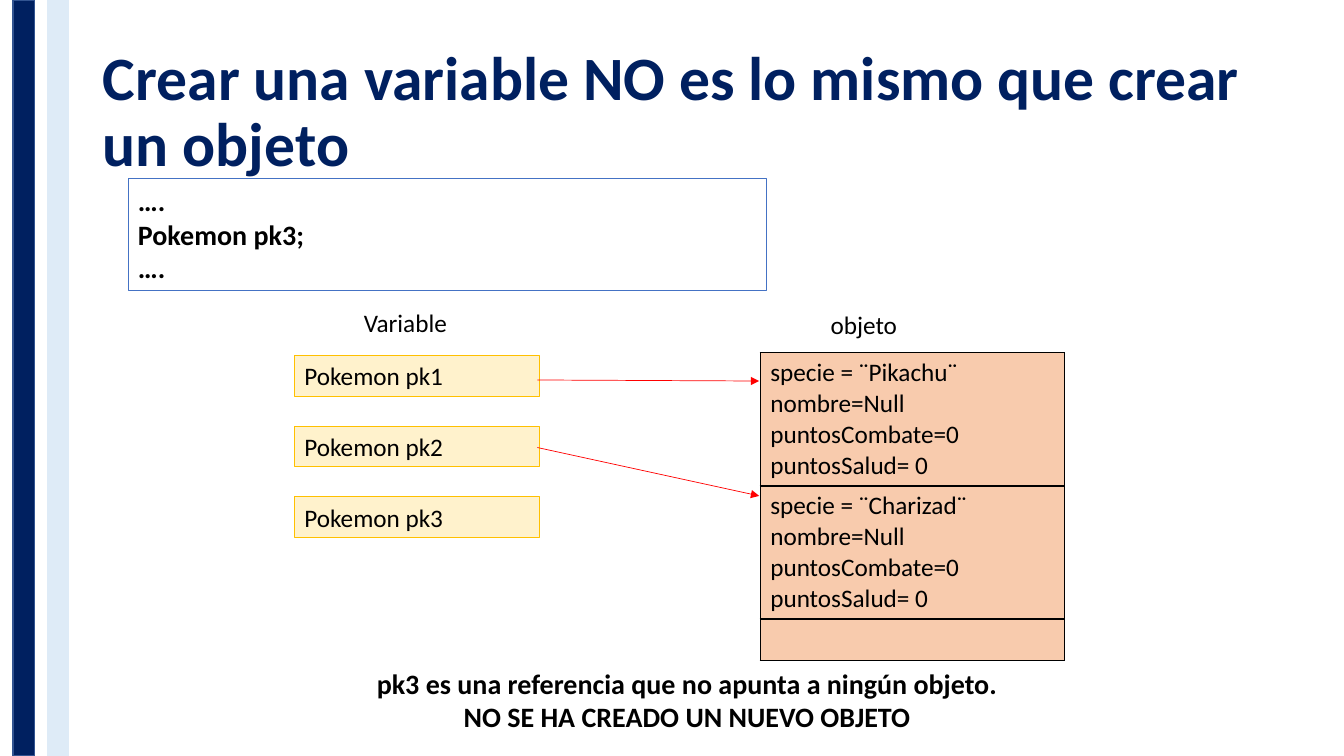
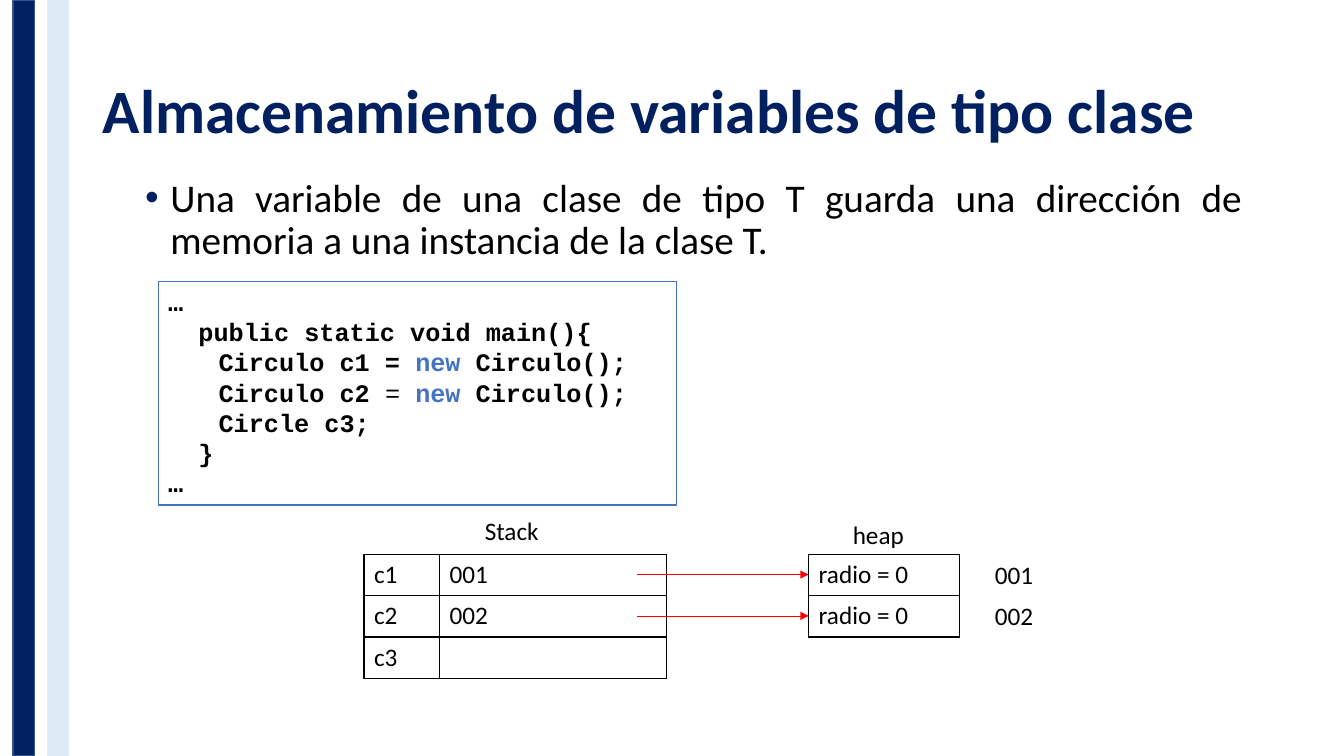
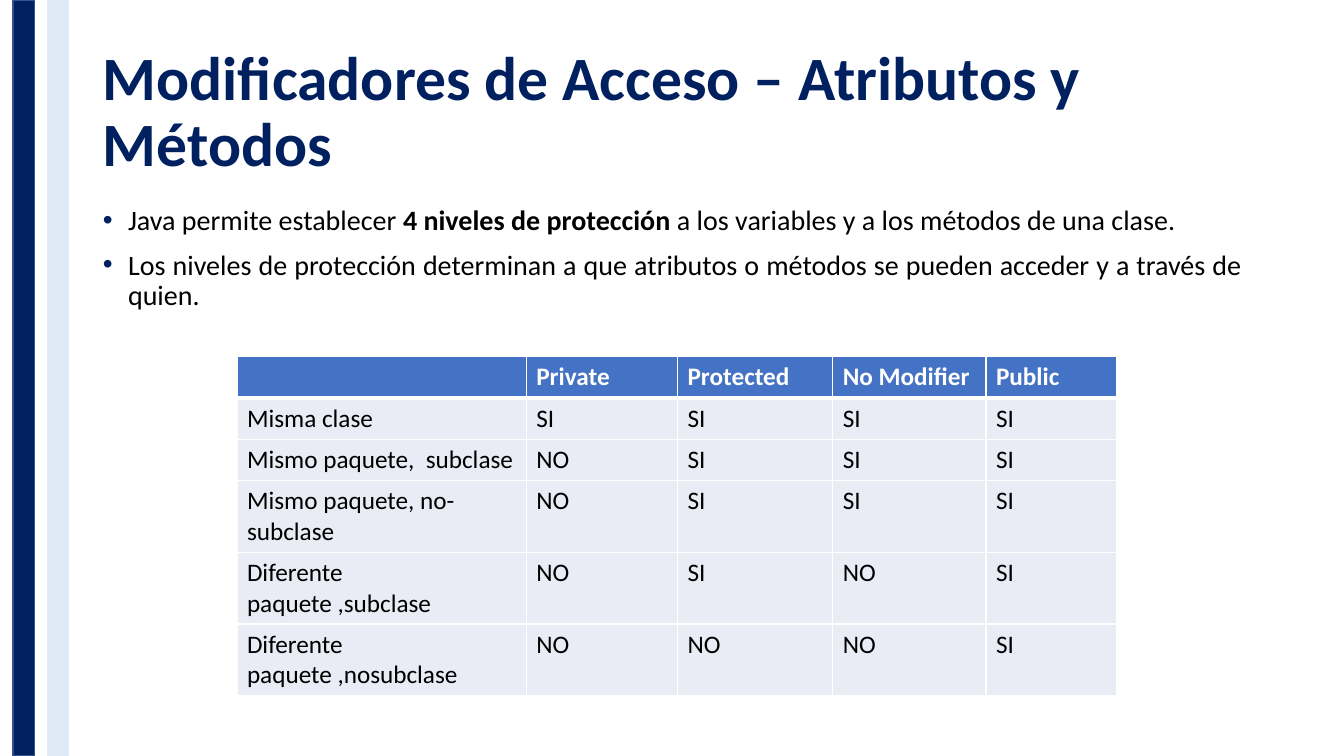
from dataclasses import dataclass

from lxml import etree
from pptx import Presentation
from pptx.dml.color import RGBColor
from pptx.enum.shapes import MSO_CONNECTOR, MSO_SHAPE
from pptx.enum.text import MSO_ANCHOR as ANCHOR
from pptx.enum.text import MSO_AUTO_SIZE as AUTO_SIZE
from pptx.enum.text import PP_ALIGN as ALIGN
from pptx.oxml.ns import qn
from pptx.util import Pt


@dataclass(frozen=True)
class Theme:
    font: str = "Calibri"
    mono: str = "Courier New"
    navy: str = "002060"
    navy_edge: str = "325491"
    pale: str = "DEEBF7"
    text: str = "000000"
    white: str = "FFFFFF"
    blue: str = "4472C4"
    red: str = "FF0000"
    cream: str = "FFF2CC"
    gold: str = "FFC000"
    peach: str = "F8CBAD"
    row: str = "E9EBF5"
    title_size: int = 44
    lead_size: int = 28
    list_size: int = 20
    label_size: int = 18


T = Theme()
EMU_PER_PX = 9144  # 100 px to the inch
SLIDE_W, SLIDE_H = 1333, 750
TITLE_ONLY, TITLE_BODY = 5, 1
ROW_H, TALL_ROW_H = 41, 71


def px(n):
    return n * EMU_PER_PX


def box_px(*lengths):
    return [px(n) for n in lengths]


def rgb(color):
    return RGBColor.from_string(color)


# Text
def write(tf, paras, size=T.label_size, color=T.text, bold=False, font=T.font,
          align=ALIGN.LEFT, line=None, before=0, indents=None, bullet=False):
    """Fill a frame; a paragraph is a string or a list of (text, format) runs."""
    tf.word_wrap = True
    for i, runs in enumerate(paras):
        p = tf.paragraphs[0] if i == 0 else tf.add_paragraph()
        p.alignment = align
        p.space_before = Pt(before if i else 0)
        if line:
            p.line_spacing = line
        if indents:
            p._p.get_or_add_pPr().set("marL", str(px(indents[i])))
        if bullet:
            add_bullet(p)
        for text, fmt in [(runs, {})] if isinstance(runs, str) else runs:
            r = p.add_run()
            r.text = text
            r.font.name = font
            r.font.size = Pt(size)
            r.font.bold = fmt.get("bold", bold)
            r.font.color.rgb = rgb(fmt.get("color", color))


def add_bullet(p):
    pPr = p._p.get_or_add_pPr()
    pPr.set("marL", str(px(25)))
    pPr.set("indent", str(px(-25)))
    clr = etree.SubElement(pPr, qn("a:buClr"))
    etree.SubElement(clr, qn("a:srgbClr"), val=T.navy)
    etree.SubElement(pPr, qn("a:buFont"), typeface="Arial")
    etree.SubElement(pPr, qn("a:buChar"), char="•")


def fill_placeholder(sp, box, paras, anchor, **fmt):
    sp.left, sp.top, sp.width, sp.height = box_px(*box)
    tf = sp.text_frame
    tf.auto_size = AUTO_SIZE.NONE
    tf.vertical_anchor = anchor
    write(tf, paras, line=0.9, **fmt)


def add_slide(prs, layout, title):
    s = prs.slides.add_slide(prs.slide_layouts[layout])
    fill_placeholder(s.shapes.title, (92, 40, 1150, 145), [title], ANCHOR.MIDDLE,
                     size=T.title_size, color=T.navy, bold=True)
    return s


def add_list(s, box, paras, size):
    fill_placeholder(s.placeholders[1], box, paras, ANCHOR.TOP, size=size,
                     align=ALIGN.JUSTIFY, before=10, bullet=True)


def add_label(s, box, *paras, **fmt):
    write(s.shapes.add_textbox(*box_px(*box)).text_frame, paras, **fmt)


# Shapes
def add_rect(s, box, fill, edge, width=0.75, paras=(), **fmt):
    sp = s.shapes.add_shape(MSO_SHAPE.RECTANGLE, *box_px(*box))
    sp.shadow.inherit = False
    if fill:
        sp.fill.solid()
        sp.fill.fore_color.rgb = rgb(fill)
    else:
        sp.fill.background()
    sp.line.color.rgb = rgb(edge)
    sp.line.width = Pt(width)
    sp.text_frame.vertical_anchor = ANCHOR.TOP
    write(sp.text_frame, paras, **fmt)
    return sp


def add_arrow(s, *ends):
    c = s.shapes.add_connector(MSO_CONNECTOR.STRAIGHT, *box_px(*ends))
    c.line.color.rgb = rgb(T.red)
    c.line.width = Pt(0.5)
    etree.SubElement(c.line._get_or_add_ln(), qn("a:tailEnd"), type="triangle")
    etree.SubElement(c._element.spPr, qn("a:effectLst"))


def add_bands(prs, s):
    """Draw the side bands and move them to the master, behind everything."""
    tree = prs.slide_master.shapes.element
    for i, (x, fill, edge) in enumerate([(13, T.navy, T.navy_edge),
                                         (47, T.pale, T.pale)]):
        band = add_rect(s, (x, 0, 21, SLIDE_H), fill, edge, 1)
        tree.insert(2 + i, band.element)


# Tables
def set_borders(cell, color, bottom):
    tcPr = cell._tc.get_or_add_tcPr()
    for side in "LRTB":
        width = Pt(bottom if side == "B" else 1)
        ln = etree.SubElement(tcPr, qn(f"a:ln{side}"), w=str(width))
        fill = etree.SubElement(ln, qn("a:solidFill"))
        etree.SubElement(fill, qn("a:srgbClr"), val=color)


def add_grid(s, x, y, widths, heights, rows, border=T.text, fill=None, header=None):
    """Add a table; a cell is a string, with one line per paragraph."""
    tbl = s.shapes.add_table(len(heights), len(widths),
                             *box_px(x, y, sum(widths), sum(heights))).table
    tbl.first_row = bool(header)
    tbl.horz_banding = False
    for col, w in zip(tbl.columns, widths):
        col.width = px(w)
    for i, (row, h, texts) in enumerate(zip(tbl.rows, heights, rows)):
        row.height = px(h)
        head = bool(header) and i == 0
        for cell, text in zip(row.cells, texts):
            set_borders(cell, border, 3 if head else 1)
            color = header if head else fill
            if color:
                cell.fill.solid()
                cell.fill.fore_color.rgb = rgb(color)
            else:
                cell.fill.background()
            if text:
                write(cell.text_frame, text.split("\n"), bold=head,
                      color=T.white if head else T.text)


# Slides
def variable_slide(prs):
    s = add_slide(prs, TITLE_ONLY,
                  "Crear una variable NO es lo mismo que crear un objeto")
    add_bands(prs, s)
    state = "specie = ¨{}¨\nnombre=Null\npuntosCombate=0\npuntosSalud= 0"
    add_grid(s, 754, 350, [302], [132, 132, ROW_H],
             [[state.format("Pikachu")], [state.format("Charizad")], [""]],
             fill=T.peach)
    add_label(s, (351, 300, 173, 40), "Variable")
    add_label(s, (814, 302, 173, 40), "objeto")
    for i in range(3):
        add_rect(s, (292, 353 + 70 * i, 243, 40), T.cream, T.gold,
                 paras=[f"Pokemon pk{i + 1}"])
    add_arrow(s, 533, 377, 753, 378)
    add_arrow(s, 533, 444, 753, 492)
    add_rect(s, (127, 177, 633, 111), None, T.blue,
             paras=["….", "Pokemon pk3;", "…."], size=T.list_size, bold=True)
    add_label(s, (180, 656, 1003, 77),
              "pk3 es una referencia que no apunta a ningún objeto.",
              "NO SE HA CREADO UN NUEVO OBJETO",
              size=T.list_size, bold=True, align=ALIGN.CENTER)


def storage_slide(prs):
    s = add_slide(prs, TITLE_BODY, "Almacenamiento de variables de tipo clase")
    add_list(s, (134, 172, 1108, 476),
             ["Una variable de una clase de tipo T guarda una dirección de "
              "memoria a una instancia de la clase T."], T.lead_size)
    top = 550
    add_grid(s, 361, top, [75, 225], [ROW_H] * 3,
             [["c1", "001"], ["c2", "002"], ["c3", ""]])
    add_grid(s, 802, top, [150], [ROW_H] * 2, [["radio = 0"]] * 2)
    for i, address in enumerate(["001", "002"]):
        y = top + ROW_H * i
        add_arrow(s, 632, y + 20, 802, y + 20)
        add_label(s, (977, y, 80, 40), address)
    add_label(s, (471, 506, 80, 40), "Stack")
    add_label(s, (836, 510, 80, 40), "heap")
    new = ("new", {"color": T.blue})
    code = [
        (0, "…"),
        (0, "  public static void main(){"),
        (50, [("Circulo c1 = ", {}), new, (" Circulo();", {})]),
        (50, [("Circulo c2 ", {}), ("= ", {"bold": False}), new,
              (" Circulo();", {})]),
        (50, "Circle c3;"),
        (0, "  }"),
        (0, "…"),
    ]
    indents, lines = zip(*code)
    add_rect(s, (157, 279, 514, 222), None, T.blue, paras=lines,
             indents=indents, font=T.mono, bold=True)


def access_slide(prs):
    s = add_slide(prs, TITLE_BODY, "Modificadores de Acceso – Atributos y Métodos")
    add_list(s, (92, 200, 1150, 476), [
        [("Java permite establecer ", {}),
         ("4 niveles de protección ", {"bold": True}),
         ("a los variables y a los métodos de una clase.", {})],
        "Los niveles de protección determinan a que atributos o métodos se "
        "pueden acceder y a través de quien.",
    ], T.list_size)
    add_grid(s, 235, 354, [287, 150, 154, 152, 130],
             [ROW_H] * 3 + [TALL_ROW_H] * 3, [
                 ["", "Private", "Protected", "No Modifier", "Public"],
                 ["Misma clase", "SI", "SI", "SI", "SI"],
                 ["Mismo paquete,  subclase", "NO", "SI", "SI", "SI"],
                 ["Mismo paquete, no-subclase", "NO", "SI", "SI", "SI"],
                 ["Diferente paquete ,subclase", "NO", "SI", "NO", "SI"],
                 ["Diferente paquete ,nosubclase", "NO", "NO", "NO", "SI"],
             ], border=T.white, fill=T.row, header=T.blue)


def main():
    prs = Presentation()
    prs.slide_width, prs.slide_height = box_px(SLIDE_W, SLIDE_H)
    variable_slide(prs)
    storage_slide(prs)
    access_slide(prs)
    prs.save("out.pptx")


if __name__ == "__main__":
    main()
